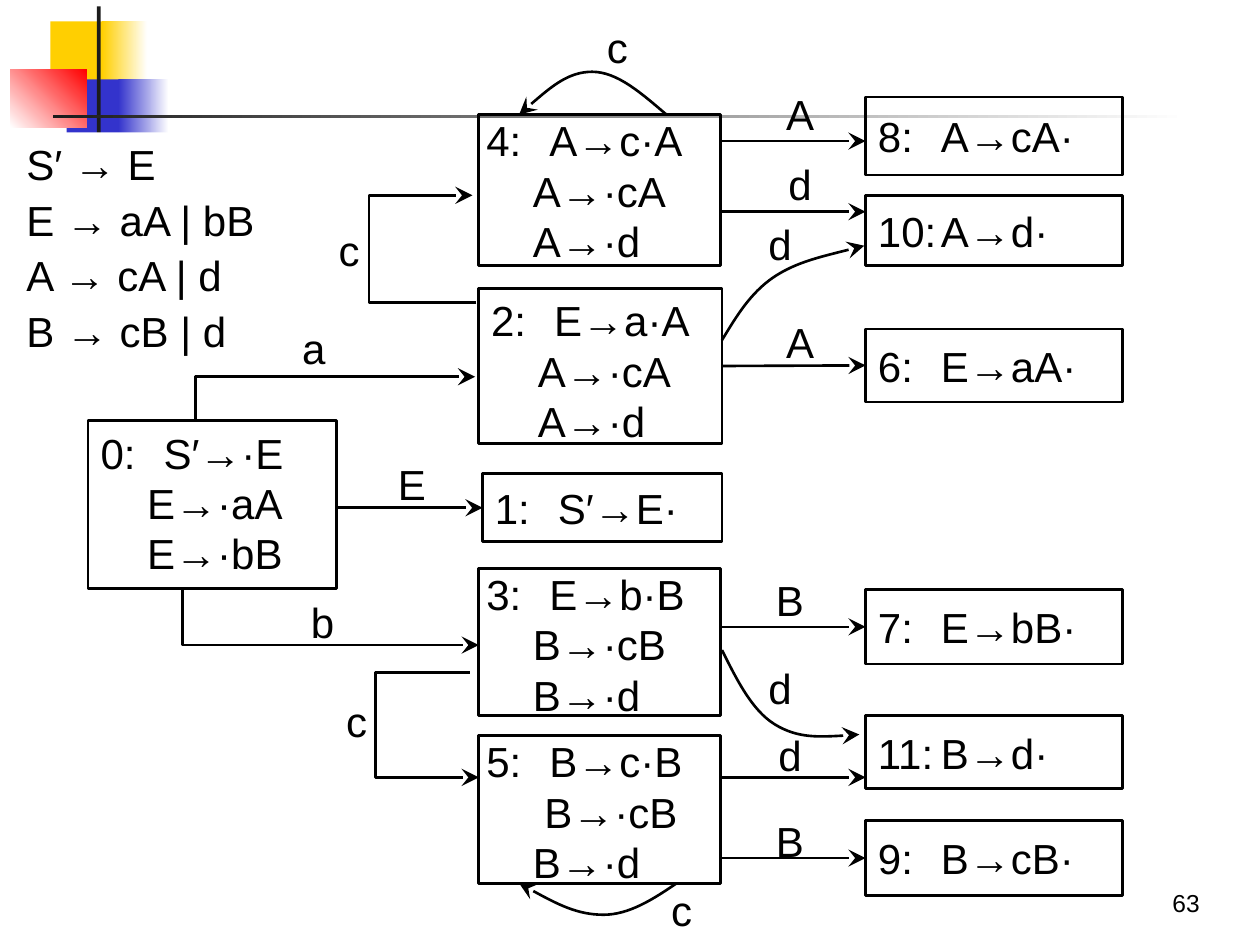
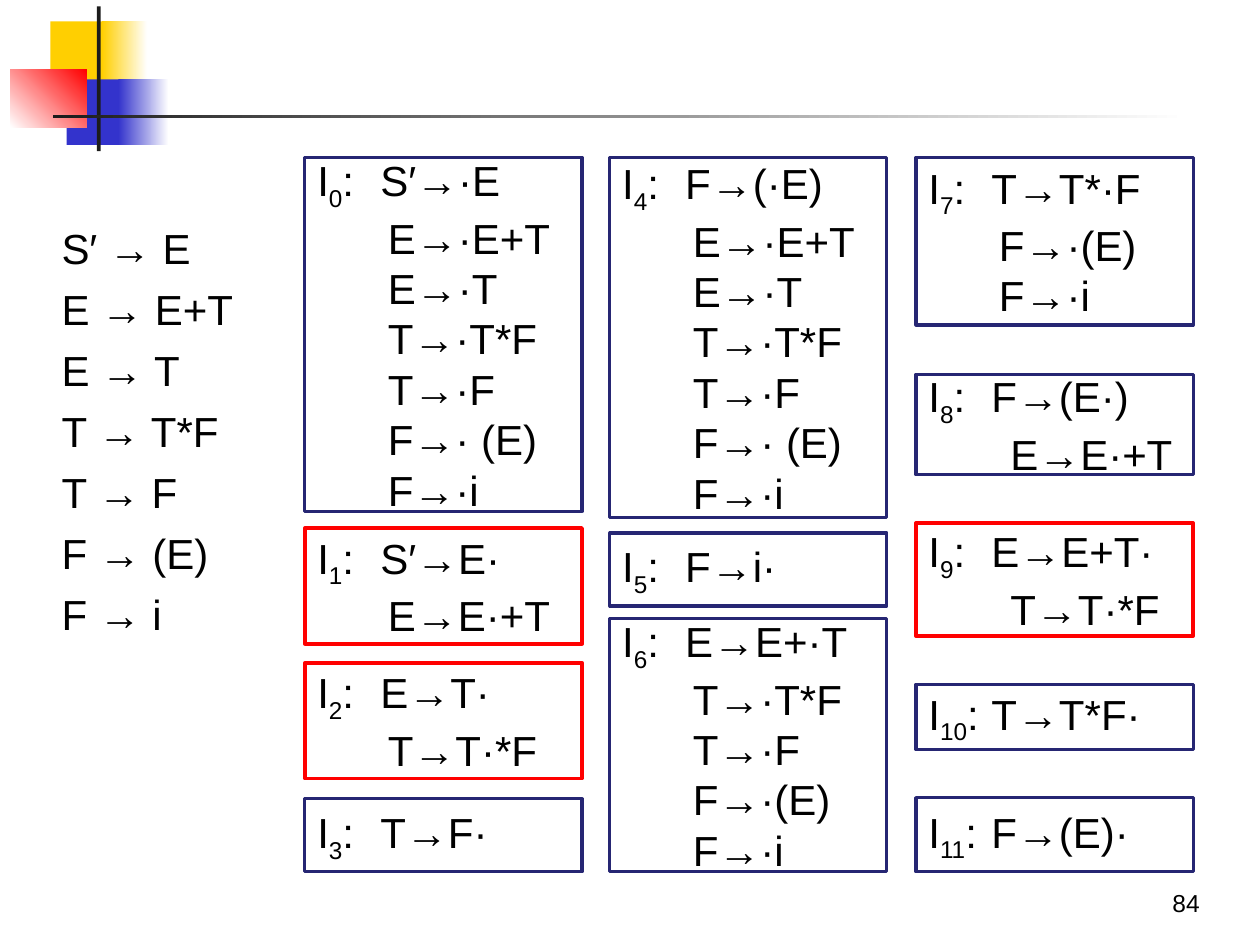
from dataclasses import dataclass
from typing import NamedTuple, Optional

from lxml import etree
from pptx import Presentation
from pptx.dml.color import RGBColor
from pptx.enum.shapes import MSO_CONNECTOR, MSO_SHAPE
from pptx.enum.text import MSO_ANCHOR, PP_ALIGN
from pptx.oxml.ns import qn
from pptx.util import Inches, Pt

RECTANGLE = MSO_SHAPE.RECTANGLE
STRAIGHT = MSO_CONNECTOR.STRAIGHT
TOP, MIDDLE, BOTTOM = MSO_ANCHOR.TOP, MSO_ANCHOR.MIDDLE, MSO_ANCHOR.BOTTOM
LEFT, CENTER, RIGHT = PP_ALIGN.LEFT, PP_ALIGN.CENTER, PP_ALIGN.RIGHT
LEFT_SIDE, RIGHT_SIDE = 1, 3

COLORS = {
    "black": "000000", "white": "FFFFFF", "ink": "1C1C1C", "yellow": "FFCF01",
    "blue": "3333CC", "red": "FF0000", "navy": "262673",
}
FONT = "Arial"
BODY_SIZE = 24


class Band(NamedTuple):
    left: float
    top: float
    width: float
    height: float
    start: str
    end: Optional[str] = None
    angle: int = 0


BANDS = [
    Band(0.4, 0.17, 0.48, 0.52, "yellow"),
    Band(0.81, 0.17, 0.36, 0.52, "yellow", "white"),
    Band(0.53, 0.63, 0.46, 0.52, "blue"),
    Band(0.94, 0.63, 0.4, 0.52, "blue", "white"),
    Band(0.08, 0.55, 0.61, 0.46, "white", "red", 45),
    Band(0.77, 0.05, 0.03, 1.15, "ink"),
    Band(0.42, 0.91, 9, 0.03, "ink", "white"),
]


@dataclass
class State:
    """A set of items; indents go item by item and the last one repeats."""
    number: int
    left: float
    top: float
    width: float
    height: float
    items: tuple[str, ...]
    indents: tuple[float, ...] = (0.37,)
    prefix: str = ""
    color: str = "black"
    weight: float = 1.5
    anchor: MSO_ANCHOR = TOP
    inset_left: float = 0.1
    inset_top: float = 0.05

    @property
    def right(self) -> float:
        return self.left + self.width

    @property
    def middle(self) -> float:
        return self.top + self.height / 2


def inner_state(number: int, top: float, height: float, *items: str,
                indents: tuple[float, ...] = (0.37,)) -> State:
    return State(number, 3.8, top, 1.92, height, items, indents, inset_left=0.06, inset_top=0)


def final_state(number: int, top: float, height: float, item: str) -> State:
    indent = 0.46 if number < 10 else 0.64
    return State(number, 6.87, top, 2.04, height, (item,), (indent,), anchor=MIDDLE)


DFA_STATES = [
    State(0, 0.7, 3.34, 1.97, 1.33, ("S′→·E", "E→·aA", "E→·bB")),
    State(1, 3.83, 3.76, 1.9, 0.54, ("S′→E·",), anchor=MIDDLE),
    State(2, 3.8, 2.29, 1.93, 1.23, ("E→a·A", "A→·cA", "A→·d")),
    inner_state(3, 4.51, 1.17, "E→b·B", "B→·cB", "B→·d"),
    inner_state(4, 0.91, 1.2, "A→c·A", "A→·cA", "A→·d"),
    inner_state(5, 5.84, 1.17, "B→c·B", "B→·cB", "B→·d", indents=(0.46, 0.46, 0.37)),
    final_state(6, 2.61, 0.58, "E→aA·"),
    final_state(7, 4.68, 0.59, "E→bB·"),
    final_state(8, 0.77, 0.62, "A→cA·"),
    final_state(9, 6.51, 0.6, "B→cB·"),
    final_state(10, 1.55, 0.56, "A→d·"),
    final_state(11, 5.68, 0.58, "B→d·"),
]


class Transition(NamedTuple):
    """A level arrow; without a height it joins the middle of the target's side."""
    symbol: str
    label_left: float
    label_top: float
    source: int
    target: int
    height: Optional[float] = None


TRANSITIONS = [
    Transition("E", 2.98, 3.63, 0, 1),
    Transition("A", 6.06, 0.69, 4, 8, 1.12),
    Transition("d", 6.06, 1.25, 4, 10, 1.68),
    Transition("A", 6.06, 2.5, 2, 6),
    Transition("B", 5.98, 4.55, 3, 7),
    Transition("d", 5.98, 5.78, 5, 11, 6.17),
    Transition("B", 5.98, 6.46, 5, 9),
]


class Route(NamedTuple):
    """A bent arrow, or a curved one whose points after the first are Bézier triples."""
    symbol: str
    label_left: float
    label_top: float
    points: list[tuple[float, float]]
    curved: bool = False


ROUTES = [
    Route("c", 2.48, 1.77, [(3.78, 2.4), (2.93, 2.4), (2.93, 1.55), (3.75, 1.55)]),
    Route("c", 2.54, 5.51, [(3.73, 5.34), (2.98, 5.34), (2.98, 6.17), (3.8, 6.17)]),
    Route("b", 2.27, 4.72, [(1.45, 4.68), (1.45, 5.12), (3.8, 5.12)]),
    Route("a", 2.2, 2.55, [(1.55, 3.34), (1.55, 2.99), (3.77, 2.99)]),
    Route("d", 5.9, 5.25, [(5.73, 5.16), (5.85, 5.4), (5.97, 5.64), (6.15, 5.75),
                           (6.33, 5.86), (6.58, 5.85), (6.82, 5.83)], True),
    Route("c", 4.61, 0.16, [(5.29, 0.91), (5.09, 0.74), (4.9, 0.57), (4.7, 0.57),
                            (4.51, 0.57), (4.31, 0.74), (4.12, 0.91)], True),
    Route("c", 5.12, 7.01, [(5.37, 7.01), (5.18, 7.14), (4.99, 7.26), (4.79, 7.26),
                            (4.58, 7.26), (4.35, 7.14), (4.12, 7.01)], True),
    Route("d", 5.9, 1.72, [(5.73, 2.7), (5.84, 2.52), (5.95, 2.33), (6.14, 2.2),
                           (6.32, 2.08), (6.59, 2.02), (6.86, 1.95)], True),
]


def item_set(number: int, top: float, height: float, *items: str,
             indents: tuple[float, ...] = (0.56,), conflict: bool = False) -> State:
    left = 2.42 if number < 4 else 4.84 if number < 7 else 7.27
    color, weight = ("red", 2) if conflict else ("navy", 1.75)
    return State(number, left, top, 2.2, height, items, indents, "I", color, weight, MIDDLE)


EXPRESSION_ITEMS = ("E→·E+T", "E→·T", "T→·T*F", "T→·F", "F→· (E)", "F→·i")
ITEM_SETS = [
    item_set(0, 1.25, 2.81, "S′→·E", *EXPRESSION_ITEMS),
    item_set(1, 4.19, 0.92, "S′→E·", "E→E·+T", conflict=True),
    item_set(2, 5.26, 0.92, "E→T·", "T→T·*F", conflict=True),
    item_set(3, 6.34, 0.58, "T→F·", indents=(0.65,)),
    item_set(4, 1.25, 2.86, "F→(·E)", *EXPRESSION_ITEMS),
    item_set(5, 4.23, 0.58, "F→i·"),
    item_set(6, 4.91, 2.01, "E→E+·T", "T→·T*F", "T→·F", "F→·(E)", "F→·i"),
    item_set(7, 1.25, 1.33, "T→T*·F", "F→·(E)", "F→·i", indents=(0.47, 0.56)),
    item_set(8, 2.97, 0.8, "F→(E·)", "E→E·+T", indents=(0.56, 0.65)),
    item_set(9, 4.15, 0.9, "E→E+T·", "T→T·*F", indents=(0.56, 0.65), conflict=True),
    item_set(10, 5.43, 0.52, "T→T*F·", indents=(0.58,)),
    item_set(11, 6.33, 0.59, "F→(E)·", indents=(0.66,)),
]


def rgb(name: str) -> RGBColor:
    return RGBColor.from_string(COLORS[name])


def style(para, size: int = BODY_SIZE, align=LEFT) -> None:
    para.alignment = align
    for font in (para.font, *(span.font for span in para.runs)):
        font.name, font.size = FONT, Pt(size)
        font.color.rgb = rgb("black")


def add_rectangle(page, left: float, top: float, width: float, height: float):
    box = page.shapes.add_shape(RECTANGLE, *map(Inches, (left, top, width, height)))
    box.shadow.inherit = False
    box.fill.background()
    box.line.fill.background()
    return box


def add_text(page, text: str, place: tuple[float, float, float, float], size: int = BODY_SIZE,
             align=LEFT, anchor=TOP, wrap: bool = True, gap: float = 0):
    box = page.shapes.add_textbox(*map(Inches, place))
    frame = box.text_frame
    frame.text = text
    frame.word_wrap, frame.vertical_anchor = wrap, anchor
    for position, para in enumerate(frame.paragraphs):
        style(para, size, align)
        if position:
            para.space_before = Pt(gap)
    return box


def add_label(page, symbol: str, left: float, top: float) -> None:
    add_text(page, symbol, (left, top, 0.58, 0.42), align=CENTER, anchor=MIDDLE, wrap=False)


def add_page(deck, number: int):
    """Add a blank slide with the corner bands and the page number."""
    page = deck.slides.add_slide(deck.slide_layouts[6])
    for band in BANDS:
        box = add_rectangle(page, band.left, band.top, band.width, band.height)
        if band.end is None:
            box.fill.solid()
            box.fill.fore_color.rgb = rgb(band.start)
            continue
        box.fill.gradient()
        box.fill.gradient_angle = band.angle
        for stop, name in zip(box.fill.gradient_stops, (band.start, band.end)):
            stop.color.rgb = rgb(name)
    add_text(page, str(number), (7.54, 6.83, 2.08, 0.5), 14, RIGHT, BOTTOM)
    return page


def set_indent(para, indent: float, tabbed: bool) -> None:
    """Indent the paragraph, or give it a tab stop there if a label comes first."""
    properties = para._p.get_or_add_pPr()
    properties.set("indent", "0")
    properties.set("marL", "0" if tabbed else str(Inches(indent)))
    if tabbed:
        tabs = etree.SubElement(properties, qn("a:tabLst"))
        etree.SubElement(tabs, qn("a:tab"), pos=str(Inches(indent)), algn="l")


def add_state(page, state: State):
    box = add_rectangle(page, state.left, state.top, state.width, state.height)
    box.line.color.rgb = rgb(state.color)
    box.line.width = Pt(state.weight)
    frame = box.text_frame
    frame.word_wrap, frame.vertical_anchor = True, state.anchor
    frame.margin_left, frame.margin_top = Inches(state.inset_left), Inches(state.inset_top)
    for position, item in enumerate(state.items):
        para = frame.add_paragraph() if position else frame.paragraphs[0]
        indent = state.indents[min(position, len(state.indents) - 1)]
        set_indent(para, indent, tabbed=position == 0)
        if position:
            para.text = item
        elif state.prefix:
            for text in (state.prefix, str(state.number), f":\t{item}"):
                para.add_run().text = text
            para.runs[1]._r.get_or_add_rPr().set("baseline", "-25000")
        else:
            para.text = f"{state.number}:\t{item}"
        style(para)
    return box


def style_arrow(line_shape) -> None:
    line_shape.line.color.rgb = rgb("black")
    line_shape.line.width = Pt(1.5)
    properties = line_shape.element.spPr
    etree.SubElement(properties.find(qn("a:ln")), qn("a:tailEnd"),
                     type="stealth", w="lg", len="lg")
    if properties.find(qn("a:effectLst")) is None:
        etree.SubElement(properties, qn("a:effectLst"))


def add_transition(page, move: Transition, boxes: list) -> None:
    source, target = DFA_STATES[move.source], DFA_STATES[move.target]
    height = move.height or target.middle
    arrow = page.shapes.add_connector(
        STRAIGHT, *map(Inches, (source.right, height, target.left, height)))
    if move.height is None:
        arrow.end_connect(boxes[move.target], LEFT_SIDE)
        if abs(source.middle - height) < 0.01:
            arrow.begin_connect(boxes[move.source], RIGHT_SIDE)
    style_arrow(arrow)
    add_label(page, move.symbol, move.label_left, move.label_top)


def add_route(page, route: Route) -> None:
    start, *others = [(Inches(x), Inches(y)) for x, y in route.points]
    builder = page.shapes.build_freeform(*start)
    builder.add_line_segments(others, close=False)
    outline = builder.convert_to_shape()
    outline.shadow.inherit = False
    outline.fill.background()
    if route.curved:
        segments = list(outline.element.iter(qn("a:lnTo")))
        for triple in zip(segments[::3], segments[1::3], segments[2::3]):
            curve = etree.Element(qn("a:cubicBezTo"))
            triple[0].addprevious(curve)
            for segment in triple:
                curve.append(segment[0])
                segment.getparent().remove(segment)
    style_arrow(outline)
    add_label(page, route.symbol, route.label_left, route.label_top)


def build_dfa_page(deck) -> None:
    page = add_page(deck, 63)
    boxes = [add_state(page, state) for state in DFA_STATES]
    for move in TRANSITIONS:
        add_transition(page, move, boxes)
    for route in ROUTES:
        add_route(page, route)
    grammar = add_text(page, "S′ → E\nE → aA | bB\nA → cA | d\nB → cB | d",
                       (0, 1.05, 2.34, 1.84), gap=3)
    grammar.text_frame.margin_left = Inches(0.21)
    grammar.fill.solid()
    grammar.fill.fore_color.rgb = rgb("white")


def build_item_sets_page(deck) -> None:
    page = add_page(deck, 84)
    for state in ITEM_SETS:
        add_state(page, state)
    add_text(page, "S′ → E\nE → E+T\nE → T\nT → T*F\nT → F\nF → (E)\nF → i",
             (0.39, 1.72, 1.64, 3.43), gap=6)


def main() -> None:
    deck = Presentation()
    deck.slide_width, deck.slide_height = Inches(10), Inches(7.5)
    build_dfa_page(deck)
    build_item_sets_page(deck)
    deck.save("out.pptx")


if __name__ == "__main__":
    main()
